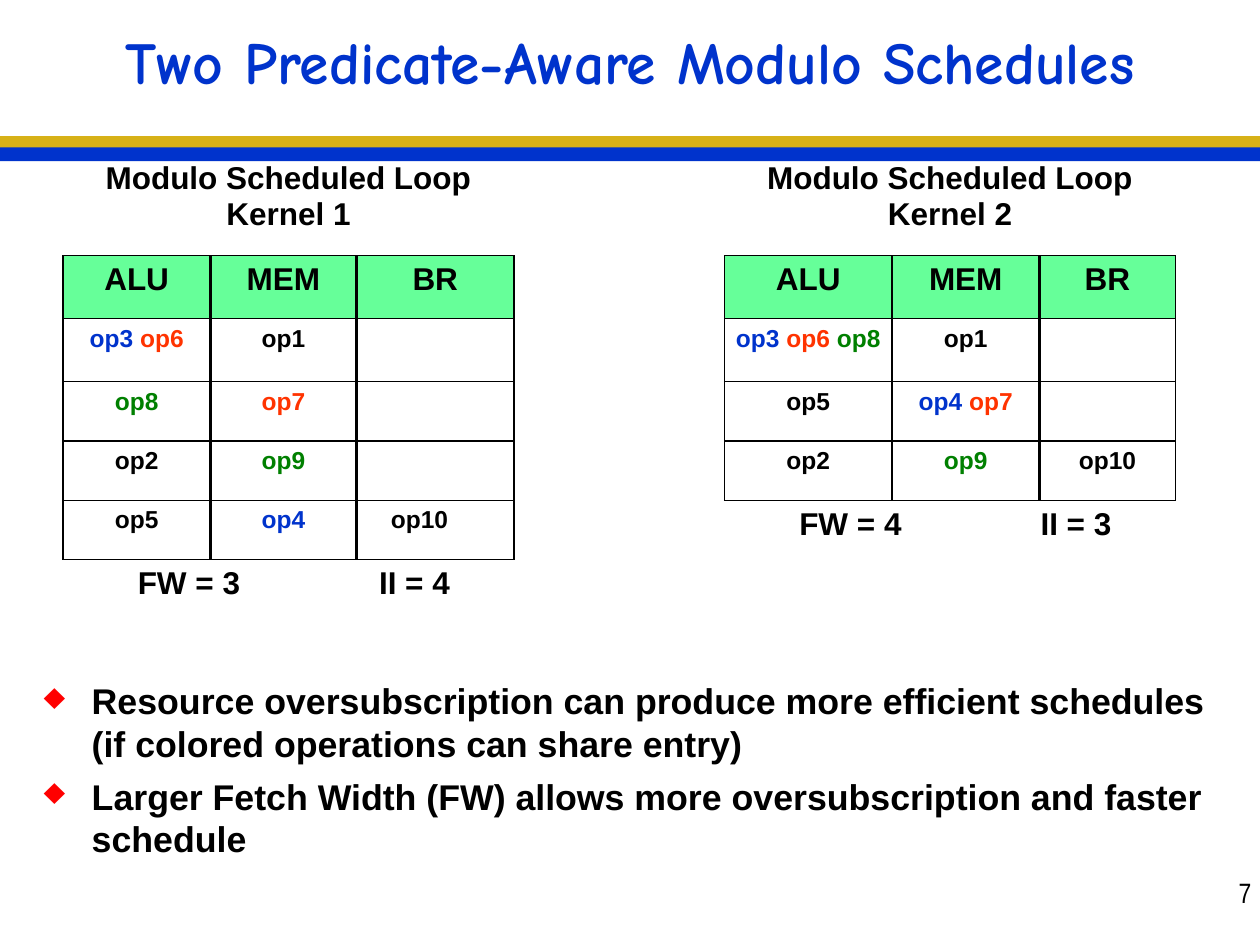
from lxml import etree
from pptx import Presentation
from pptx import util as u
from pptx.dml.color import RGBColor
from pptx.enum import shapes, text
from pptx.oxml.ns import qn

# Content
TITLE = "Two Predicate-Aware Modulo Schedules"
PAGE_NUMBER = "7"
BULLETS = [
    "Resource oversubscription can produce more efficient schedules "
    "(if colored operations can share entry)",
    "Larger Fetch Width (FW) allows more oversubscription and faster schedule",
]
HEADER = ["ALU", "MEM", "BR"]
# spans: grid columns taken by each cell, by kind of row
KERNELS = [
    dict(left=0.5, columns=[1.17, 0.83, 0.33, 1, 0.25],
         caption="Modulo Scheduled Loop Kernel 1",
         body=[["op3 op6", "op1", ""], ["op8", "op7", ""], ["op2", "op9", ""],
               ["op5", "op4", "op10", ""]],
         footer=["FW = 3", "II = 4"],
         spans={"grid": [1, 2, 2], "split": [1, 2, 1, 1], "footer": [2, 3]}),
    dict(left=5.75, columns=[1.33, 0.67, 0.5, 1.08],
         caption="Modulo Scheduled Loop Kernel 2",
         body=[["op3 op6 op8", "op1", ""], ["op5", "op4 op7", ""],
               ["op2", "op9", "op10"]],
         footer=["FW = 4", "II = 3"],
         spans={"grid": [1, 2, 1], "footer": [2, 2]}),
]

# Style
BLUE, GOLD, RED, GREEN = "0033CC", "D7B117", "FF3300", "008000"
BLACK, MINT, BULLET_RED = "000000", "66FF99", "FF0000"
OP_COLORS = {"op3": BLUE, "op4": BLUE, "op6": RED, "op7": RED,
             "op8": GREEN, "op9": GREEN}
THIN, THICK = 0.75, 1.47
NO_STYLE = "{2D5ABB26-0587-4C30-8999-92F81FD0307C}"
TABLE_TOP = 1.23
CAPTION_HEIGHT, TALL_ROW, SHORT_ROW = 0.8, 0.5, 0.47


def color(value):
    return RGBColor.from_string(value)


def inches(*lengths):
    return [u.Inches(length) for length in lengths]


def style(font, size, name="Arial", fill=BLACK, bold=True):
    font.size, font.name, font.bold = u.Pt(size), name, bold
    font.color.rgb = color(fill)


def set_borders(cell, **widths):
    props = cell._tc.get_or_add_tcPr()
    for side in "LRTB":
        if side in widths:
            line = etree.SubElement(props, qn(f"a:ln{side}"), w=str(u.Pt(widths[side])))
            fill = etree.SubElement(line, qn("a:solidFill"))
            etree.SubElement(fill, qn("a:srgbClr"), val=BLACK)


def fill_cell(cell, words, size):
    cell.margin_left = cell.margin_right = u.Inches(0.05)
    cell.margin_top = cell.margin_bottom = u.Inches(0.05)
    para = cell.text_frame.paragraphs[0]
    para.alignment = text.PP_ALIGN.CENTER
    for i, word in enumerate(words):
        span = para.add_run()
        span.text = word + (" " if i < len(words) - 1 else "")
        style(span.font, size, fill=OP_COLORS.get(word, BLACK))


def add_kernel(page, kernel):
    columns, spans, body = kernel["columns"], kernel["spans"], kernel["body"]
    rows = [("caption", [kernel["caption"]]), ("header", HEADER)]
    rows += [("body", cells) for cells in body]
    rows += [("footer", kernel["footer"])]
    heights = [CAPTION_HEIGHT, TALL_ROW, TALL_ROW]
    heights += [SHORT_ROW] * (len(body) - 1) + [TALL_ROW]

    frame = page.shapes.add_table(len(rows), len(columns), *inches(
        kernel["left"], TABLE_TOP, sum(columns), sum(heights)))
    table = frame.table
    table.first_row = table.horz_banding = False
    table._tbl.tblPr.find(qn("a:tableStyleId")).text = NO_STYLE
    for column, width in zip(table.columns, columns):
        column.width = u.Inches(width)
    for row, height in zip(table.rows, heights):
        row.height = u.Inches(height)

    for r, (kind, cells) in enumerate(rows):
        if kind == "caption":
            widths = [len(columns)]
        elif kind == "footer":
            widths = spans["footer"]
        else:
            widths = spans["split" if len(cells) > len(HEADER) else "grid"]
        c = 0
        for i, (label, width) in enumerate(zip(cells, widths)):
            cell = table.cell(r, c)
            if width > 1:
                cell.merge(table.cell(r, c + width - 1))
            fill_cell(cell, label.split() if kind == "body" else [label],
                      14 if kind == "body" else 18)
            if kind == "caption":
                set_borders(cell, B=THIN)
            elif kind == "footer":
                set_borders(cell, T=THIN)
            else:
                sides = dict(T=THIN, B=THIN)
                if i < len(HEADER):
                    sides["L"] = THICK if i else THIN
                if i < len(HEADER) - 1 or i == len(cells) - 1:
                    sides["R"] = THIN if i >= len(HEADER) - 1 else THICK
                set_borders(cell, **sides)
            if kind == "header":
                cell.fill.solid()
                cell.fill.fore_color.rgb = color(MINT)
            else:
                cell.fill.background()
            c += width


def add_bullet(para):
    props = para._p.get_or_add_pPr()
    props.set("marL", str(u.Inches(0.38)))
    props.set("indent", str(u.Inches(-0.38)))
    tint = etree.SubElement(props, qn("a:buClr"))
    etree.SubElement(tint, qn("a:srgbClr"), val=BULLET_RED)
    etree.SubElement(props, qn("a:buSzPct"), val="105000")
    etree.SubElement(props, qn("a:buChar"), char="♦")


def main():
    deck = Presentation()
    deck.slide_width, deck.slide_height = inches(10, 7.5)
    page = deck.slides.add_slide(deck.slide_layouts[5])

    # Double rule under the title
    for top, fill in [(1.08, GOLD), (1.17, BLUE)]:
        bar = page.shapes.add_shape(shapes.MSO_SHAPE.RECTANGLE, *inches(0, top, 10, 0.11))
        bar.shadow.inherit = False
        bar.fill.solid()
        bar.fill.fore_color.rgb = color(fill)
        bar.line.fill.background()

    # Title
    title = page.shapes.title
    title.left, title.top, title.width, title.height = inches(0.25, 0.08, 9.5, 0.92)
    title.text_frame.text = TITLE
    title.text_frame.vertical_anchor = text.MSO_ANCHOR.MIDDLE
    para = title.text_frame.paragraphs[0]
    para.alignment, para.line_spacing = text.PP_ALIGN.CENTER, 0.75
    style(para.runs[0].font, 34, "Comic Neue", BLUE)

    # Schedules
    for kernel in KERNELS:
        add_kernel(page, kernel)

    # Conclusions
    box = page.shapes.add_textbox(*inches(0.25, 5.34, 9.5, 1.5))
    frame = box.text_frame
    frame.word_wrap = True
    for i, bullet in enumerate(BULLETS):
        para = frame.add_paragraph() if i else frame.paragraphs[0]
        para.text = bullet
        if i:
            para.space_before = u.Pt(5.5)
        add_bullet(para)
        style(para.runs[0].font, 20.4)

    # Page number
    number = page.shapes.add_textbox(*inches(9, 6.9, 1.03, 0.37))
    number.text_frame.word_wrap = True
    number.text_frame.text = PAGE_NUMBER
    para = number.text_frame.paragraphs[0]
    para.alignment = text.PP_ALIGN.RIGHT
    style(para.runs[0].font, 16, "Arial Narrow", bold=False)

    deck.save("out.pptx")


if __name__ == "__main__":
    main()
